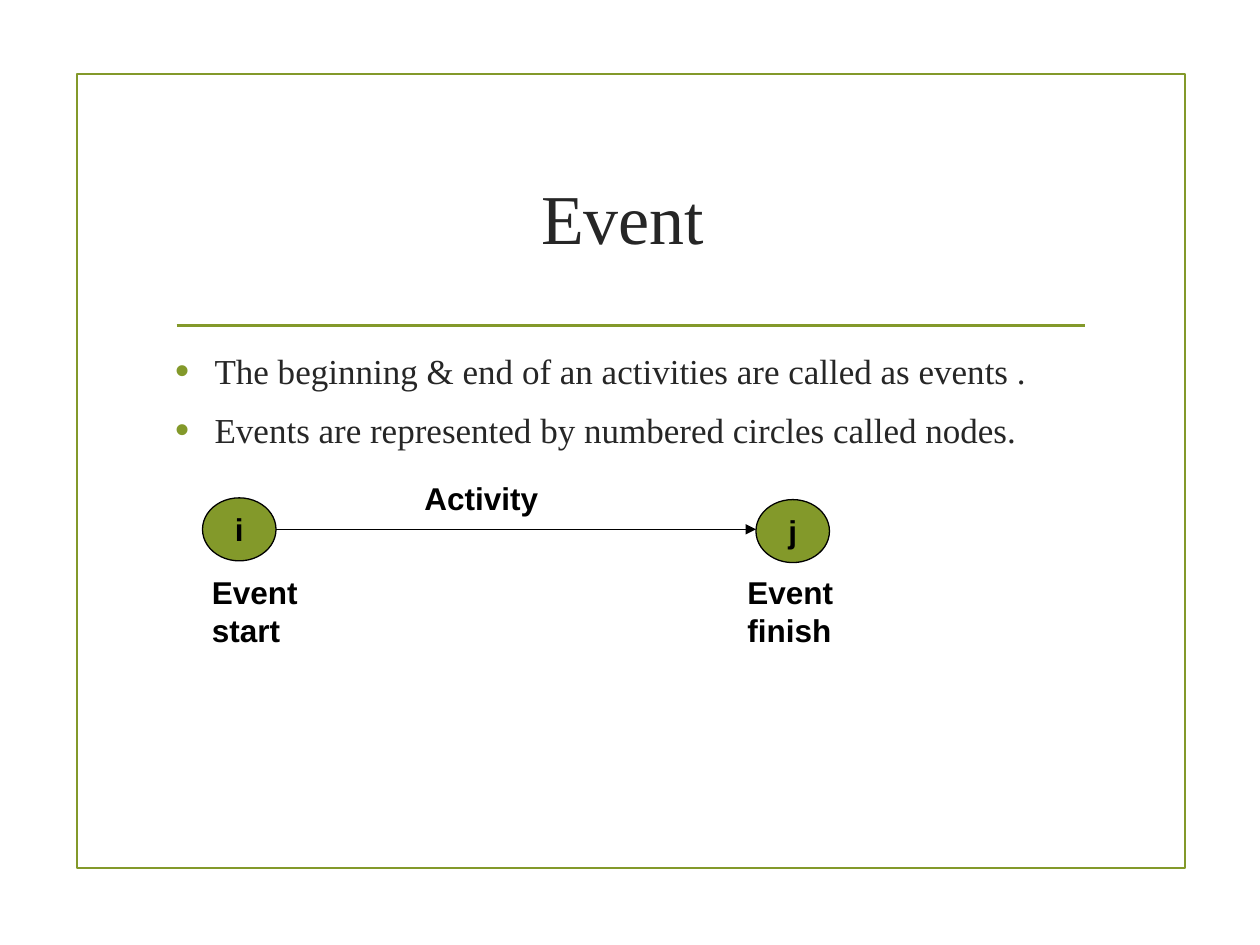
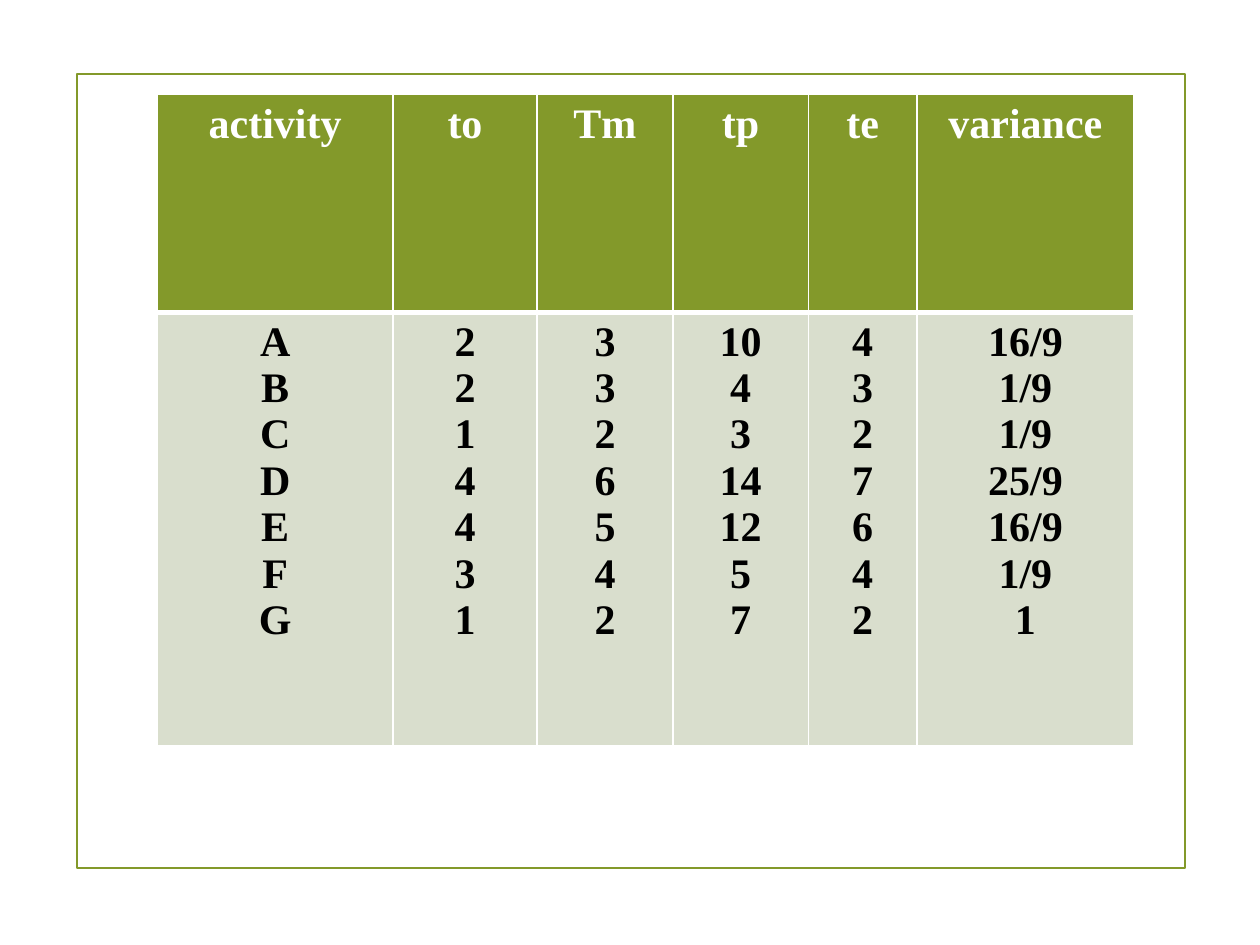
from dataclasses import dataclass

from lxml import etree
from pptx import Presentation
from pptx.dml.color import RGBColor
from pptx.enum.shapes import MSO_CONNECTOR, MSO_SHAPE
from pptx.enum.text import MSO_ANCHOR, MSO_AUTO_SIZE, PP_ALIGN
from pptx.oxml.ns import qn
from pptx.util import Pt

CENTER = PP_ALIGN.CENTER
LEFT = PP_ALIGN.LEFT
MIDDLE = MSO_ANCHOR.MIDDLE
TOP = MSO_ANCHOR.TOP
NO_AUTO_SIZE = MSO_AUTO_SIZE.NONE
STRAIGHT = MSO_CONNECTOR.STRAIGHT
OVAL = MSO_SHAPE.OVAL
RECTANGLE = MSO_SHAPE.RECTANGLE
TITLE_ONLY, BLANK = 5, 6


@dataclass(frozen=True)
class Theme:
    olive: str = "83992A"
    pale_olive: str = "D9DECD"
    ink: str = "262626"
    black: str = "000000"
    white: str = "FFFFFF"
    serif: str = "Times New Roman"
    sans: str = "Arial"
    title_size: float = 40
    body_size: float = 20
    label_size: float = 18
    table_size: float = 24
    frame_width: float = 1.25
    diagram_width: float = 0.75
    grid_width: float = 1
    header_rule_width: float = 3

    def text_format(self, name, size, color, bold=False):
        return {"name": name, "size": Pt(size), "bold": bold, "color": color}


def apply_format(target, values):
    """Set attributes from a dict; a "color" entry goes to the RGB colour."""
    for name, value in values.items():
        if name == "color":
            target.color.rgb = RGBColor.from_string(value)
        else:
            setattr(target, name, value)


def add_xml(parent, tag, **attributes):
    return etree.SubElement(parent, qn(tag), attributes)


class SlideBuilder:
    def __init__(self, presentation, theme):
        self.presentation = presentation
        self.theme = theme
        self.slide = None
        self.title_format = theme.text_format(theme.serif, theme.title_size, theme.ink)
        self.body_format = theme.text_format(theme.serif, theme.body_size, theme.ink)
        self.label_format = theme.text_format(
            theme.sans, theme.label_size, theme.black, True)

    def new_slide(self, layout):
        layouts = self.presentation.slide_layouts
        self.slide = self.presentation.slides.add_slide(layouts[layout])
        self.shape(RECTANGLE, 44, 42.5, 633, 453.5, None,
                   self.theme.olive, self.theme.frame_width)

    def fill_text(self, frame, lines, text_format, alignment=LEFT):
        for index, line in enumerate(lines):
            paragraph = frame.paragraphs[0] if index == 0 else frame.add_paragraph()
            paragraph.alignment = alignment
            run = paragraph.add_run()
            run.text = line
            apply_format(run.font, text_format)

    def title(self, text):
        title = self.slide.shapes.title
        apply_format(title, {"left": Pt(93), "top": Pt(72),
                             "width": Pt(535.5), "height": Pt(103)})
        apply_format(title.text_frame, {"word_wrap": True, "vertical_anchor": MIDDLE,
                                        "auto_size": NO_AUTO_SIZE})
        self.fill_text(title.text_frame, [text], self.title_format, CENTER)
        self.line(101, 186, 620, 186, self.theme.olive, self.theme.frame_width)

    def shape(self, kind, left, top, width, height, fill, line, line_width):
        shape = self.slide.shapes.add_shape(
            kind, Pt(left), Pt(top), Pt(width), Pt(height))
        shape.shadow.inherit = False
        if fill:
            shape.fill.solid()
            shape.fill.fore_color.rgb = RGBColor.from_string(fill)
        else:
            shape.fill.background()
        apply_format(shape.line, {"color": line, "width": Pt(line_width)})
        return shape

    def line(self, x1, y1, x2, y2, color, width, arrow=False):
        connector = self.slide.shapes.add_connector(
            STRAIGHT, Pt(x1), Pt(y1), Pt(x2), Pt(y2))
        apply_format(connector.line, {"color": color, "width": Pt(width)})
        properties = connector.element.spPr
        if arrow:
            add_xml(properties.find(qn("a:ln")), "a:tailEnd", type="triangle")
        add_xml(properties, "a:effectLst")

    def text_box(self, left, top, width, height, lines, text_format):
        box = self.slide.shapes.add_textbox(Pt(left), Pt(top), Pt(width), Pt(height))
        apply_format(box.text_frame, {"word_wrap": True, "vertical_anchor": TOP})
        self.fill_text(box.text_frame, lines, text_format)
        return box.text_frame

    def label(self, left, top, width, height, text):
        self.text_box(left, top, width, height, [text], self.label_format)

    def bullets(self, left, top, width, height, lines):
        frame = self.text_box(left, top, width, height, lines, self.body_format)
        for index, paragraph in enumerate(frame.paragraphs):
            properties = paragraph._p.get_or_add_pPr()
            properties.set("marL", str(Pt(22.5)))
            properties.set("indent", str(-Pt(22.5)))
            color = add_xml(properties, "a:buClr")
            add_xml(color, "a:srgbClr", val=self.theme.olive)
            add_xml(properties, "a:buSzPct", val="115000")
            add_xml(properties, "a:buFont", typeface=self.theme.sans)
            add_xml(properties, "a:buChar", char="•")
            apply_format(paragraph, {"space_before": Pt(4 if index else 0),
                                     "space_after": Pt(6)})

    def node(self, left, top, width, height, text):
        node = self.shape(OVAL, left, top, width, height, self.theme.olive,
                          self.theme.black, self.theme.diagram_width)
        frame = node.text_frame
        apply_format(frame, {"word_wrap": False, "vertical_anchor": MIDDLE,
                             "margin_left": 0, "margin_right": 0,
                             "margin_top": 0, "margin_bottom": 0})
        self.fill_text(frame, [text], self.label_format, CENTER)

    def border(self, cell, side, width):
        line = add_xml(cell._tc.get_or_add_tcPr(), f"a:ln{side}", w=str(Pt(width)))
        fill = add_xml(line, "a:solidFill")
        add_xml(fill, "a:srgbClr", val=self.theme.white)

    def table(self, left, top, column_widths, row_heights, rows):
        """Draw a header row and body rows; each cell is a list of lines."""
        theme = self.theme
        table = self.slide.shapes.add_table(
            len(rows), len(column_widths), Pt(left), Pt(top),
            Pt(sum(column_widths)), Pt(sum(row_heights))).table
        for column, width in zip(table.columns, column_widths):
            column.width = Pt(width)
        for row_index, (row, height, texts) in enumerate(
                zip(table.rows, row_heights, rows)):
            row.height = Pt(height)
            is_header = row_index == 0
            fill, color = ((theme.olive, theme.white) if is_header
                           else (theme.pale_olive, theme.black))
            rules = {"B" if is_header else "T": theme.header_rule_width}
            text_format = theme.text_format(theme.serif, theme.table_size, color, True)
            for cell, lines in zip(row.cells, texts):
                for side in "LRTB":
                    self.border(cell, side, rules.get(side, theme.grid_width))
                cell.fill.solid()
                cell.fill.fore_color.rgb = RGBColor.from_string(fill)
                self.fill_text(cell.text_frame, lines, text_format, CENTER)


def event_slide(builder):
    theme = builder.theme
    builder.new_slide(TITLE_ONLY)
    builder.title("Event ")
    builder.bullets(93, 196, 535.5, 271.5, [
        "The beginning & end of an activities are called as events .",
        "Events are represented by numbered circles called nodes.",
    ])
    node_width, node_height = 42, 36
    start_left, finish_left = 115.75, 432
    builder.node(start_left, 284.5, node_width, node_height, "i")
    builder.line(start_left + node_width, 302.5, finish_left, 302.5,
                 theme.black, theme.diagram_width, arrow=True)
    builder.node(finish_left, 285.5, node_width, node_height, "j")
    builder.label(114, 324, 84, 50.5, "Event start")
    builder.label(420, 324, 108, 50.5, "Event finish")
    builder.label(235.5, 270, 157.5, 29, "Activity")


def estimates_slide(builder):
    header = ["activity", "to", "Tm", "tp", "te", "variance"]
    estimates = [
        ("A", "2", "3", "10", "4", "16/9"),
        ("B", "2", "3", "4", "3", "1/9"),
        ("C", "1", "2", "3", "2", "1/9"),
        ("D", "4", "6", "14", "7", "25/9"),
        ("E", "4", "5", "12", "6", "16/9"),
        ("F", "3", "4", "5", "4", "1/9"),
        ("G", "1", "2", "7", "2", "1"),
    ]
    builder.new_slide(BLANK)
    builder.table(90, 54, [134.5, 82.5, 77.5, 77.5, 62, 124], [124.5, 247.5],
                  [[[name] for name in header], list(zip(*estimates))])


def main():
    presentation = Presentation()
    presentation.slide_width = Pt(720)
    presentation.slide_height = Pt(540)
    builder = SlideBuilder(presentation, Theme())
    event_slide(builder)
    estimates_slide(builder)
    presentation.save("out.pptx")


if __name__ == "__main__":
    main()
